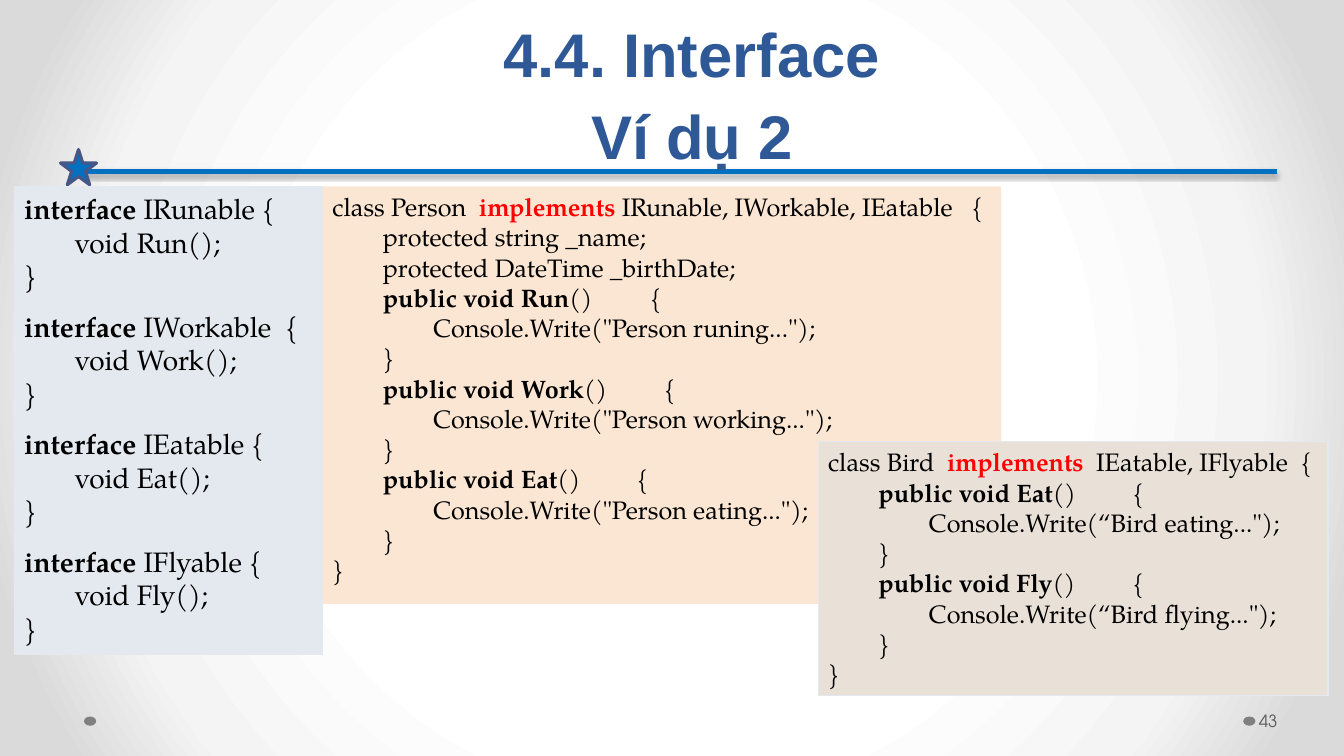
import lxml.etree
import pptx
import pptx.dml.color
import pptx.enum.shapes
import pptx.enum.text
import pptx.oxml
import pptx.oxml.ns
import pptx.util
from dataclasses import dataclass

SHAPES = pptx.enum.shapes.MSO_SHAPE
ANCHOR = pptx.enum.text.MSO_ANCHOR
ALIGN = pptx.enum.text.PP_ALIGN
AUTO_SIZE = pptx.enum.text.MSO_AUTO_SIZE
NAMESPACE = pptx.oxml.ns.nsdecls("a")


@dataclass(frozen=True)
class Theme:
    title_font: str = "Arial"
    code_font: str = "TeX Gyre Pagella"
    number_font: str = "TeX Gyre Adventor"
    title_size: int = 44
    interface_size: int = 20
    class_size: int = 18
    number_size: int = 12
    title: str = "2F5897"
    accent: str = "0070C0"
    star_edge: str = "475785"
    dot: str = "808080"
    number: str = "595959"
    code: str = "000000"
    keyword: str = "FF0000"
    interface_panel: str = "E4E9EF"
    person_panel: str = "FAE6D3"
    bird_panel: str = "E9E0D7"
    backdrop: tuple = ((50, "FFFFFF"), (76, "F4F4F4"), (92, "DADADA"))


def assign(target, values):
    for name, value in values.items():
        setattr(target, name, value)


def color(value):
    return pptx.dml.color.RGBColor.from_string(value)


class SlideBuilder:
    COLUMNS, ROWS = 160, 90

    def __init__(self, presentation, theme):
        self.theme = theme
        self.cell_width = presentation.slide_width / self.COLUMNS
        self.cell_height = presentation.slide_height / self.ROWS
        self.slide = presentation.slides.add_slide(presentation.slide_layouts[6])

    def place(self, column, row, width, height):
        return (round(column * self.cell_width), round(row * self.cell_height),
                round(width * self.cell_width), round(height * self.cell_height))

    def backdrop(self):
        fill = self.slide.background.fill
        fill.gradient()
        stops = "".join(f'<a:gs pos="{position * 1000}"><a:srgbClr val="{value}"/></a:gs>'
                        for position, value in self.theme.backdrop)
        gradient = pptx.oxml.parse_xml(
            f'<a:gradFill {NAMESPACE} rotWithShape="1"><a:gsLst>{stops}</a:gsLst>'
            '<a:path path="circle"><a:fillToRect l="50000" t="50000" r="50000" b="50000"/>'
            '</a:path></a:gradFill>')
        current = next(self.slide.element.iter(pptx.oxml.ns.qn("a:gradFill")))
        current.getparent().replace(current, gradient)

    def shape(self, kind, box, fill, edge=None, edge_width=0.75):
        shape = self.slide.shapes.add_shape(kind, *self.place(*box))
        shape.shadow.inherit = False
        shape.fill.solid()
        shape.fill.fore_color.rgb = color(fill)
        if edge:
            shape.line.color.rgb = color(edge)
            shape.line.width = pptx.util.Pt(edge_width)
        else:
            shape.line.fill.background()
        return shape

    def rule(self, start, end, row):
        left, top, width, _ = self.place(start, row, end - start, 0)
        line = self.slide.shapes.add_connector(
            pptx.enum.shapes.MSO_CONNECTOR.STRAIGHT, left, top, left + width, top)
        line.line.color.rgb = color(self.theme.accent)
        line.line.width = pptx.util.Pt(4)
        line.element.spPr.append(pptx.oxml.parse_xml(
            f'<a:effectLst {NAMESPACE}><a:outerShdw blurRad="39400" dist="22900" dir="5400000">'
            '<a:srgbClr val="000000"><a:alpha val="35000"/></a:srgbClr>'
            '</a:outerShdw></a:effectLst>'))

    def run(self, paragraph, text, font, size, ink, bold=False):
        run = paragraph.add_run()
        run.text = text
        assign(run.font, {"name": font, "size": pptx.util.Pt(size), "bold": bold})
        run.font.color.rgb = color(ink)

    def label(self, box, lines, style, frame_format, paragraph_format):
        frame = self.slide.shapes.add_textbox(*self.place(*box)).text_frame
        assign(frame, {"word_wrap": True, **frame_format})
        paragraph = frame.paragraphs[0]
        assign(paragraph, paragraph_format)
        for index, line in enumerate(lines):
            if index:
                paragraph.add_line_break()
            self.run(paragraph, line, **style)

    def tab_stops(self, paragraph, stops):
        properties = paragraph._p.get_or_add_pPr()
        tabs = lxml.etree.SubElement(properties, pptx.oxml.ns.qn("a:tabLst"))
        for stop in stops:
            lxml.etree.SubElement(tabs, pptx.oxml.ns.qn("a:tab"),
                                  pos=str(pptx.util.Inches(stop)), algn="l")

    def code_panel(self, box, lines, size, fill, edge=None, auto_size=AUTO_SIZE.NONE):
        frame = self.shape(SHAPES.RECTANGLE, box, fill, edge).text_frame
        assign(frame, {"word_wrap": True, "vertical_anchor": ANCHOR.TOP,
                       "auto_size": auto_size})
        inks = {"plain": (self.theme.code, False), "bold": (self.theme.code, True),
                "keyword": (self.theme.keyword, True)}
        for index, (runs, spacing, brace_stop) in enumerate(lines):
            paragraph = frame.add_paragraph() if index else frame.paragraphs[0]
            assign(paragraph, {"alignment": ALIGN.LEFT, "line_spacing": spacing})
            self.tab_stops(paragraph, [0.5, 1] + ([brace_stop] if brace_stop else []))
            for style, text in runs:
                ink, bold = inks[style]
                self.run(paragraph, text, self.theme.code_font, size, ink, bold)


def code_line(*runs, spacing=1.0, brace_stop=None):
    return runs, spacing, brace_stop


def interface_lines(interfaces):
    lines = []
    for heading, method in interfaces:
        lines += [code_line(("bold", "interface"), ("plain", f" {heading}"),
                            spacing=1.5 if lines else 1.0),
                  code_line(("plain", f"\tvoid {method}();")),
                  code_line(("plain", "}"))]
    return lines


def class_lines(name, interfaces, fields, methods, brace_stop=None):
    lines = [code_line(("plain", f"class {name}  "), ("keyword", "implements"),
                       ("plain", interfaces), brace_stop=brace_stop)]
    lines += [code_line(("plain", f"\t{field}")) for field in fields]
    for method, message, stop in methods:
        lines += [code_line(("bold", f"\tpublic void {method}"), ("plain", "()\t{"),
                            brace_stop=stop),
                  code_line(("plain", f"\t\tConsole.Write({message});")),
                  code_line(("plain", "\t}"))]
    return lines + [code_line(("plain", "}"))]


def main():
    presentation = pptx.Presentation()
    assign(presentation, {"slide_width": pptx.util.Inches(13.33),
                          "slide_height": pptx.util.Inches(7.5)})
    theme = Theme()
    builder = SlideBuilder(presentation, theme)
    builder.backdrop()
    for column in (148, 10):
        builder.shape(SHAPES.OVAL, (column, 85.3, 1.45, 1.1), theme.dot)
    builder.rule(10.1, 152, 20.4)
    builder.shape(SHAPES.STAR_5_POINT, (7.2, 17.8, 4.3, 4.2), theme.accent,
                  theme.star_edge, 2.25)
    builder.label((13, 2.3, 138.8, 18.7), ["4.4. Interface", "Ví dụ 2"],
                  {"font": theme.title_font, "size": theme.title_size,
                   "ink": theme.title, "bold": True},
                  {"vertical_anchor": ANCHOR.BOTTOM},
                  {"alignment": ALIGN.CENTER, "line_spacing": pptx.util.Pt(58)})
    builder.label((149.5, 83.4, 9.8, 4.8), ["43"],
                  {"font": theme.number_font, "size": theme.number_size, "ink": theme.number},
                  {"vertical_anchor": ANCHOR.MIDDLE, "margin_left": pptx.util.Inches(0.03),
                   "margin_right": pptx.util.Inches(0.05)},
                  {"alignment": ALIGN.LEFT})
    builder.code_panel(
        (1.7, 22.2, 36.7, 55.7),
        interface_lines([("IRunable {", "Run"), ("IWorkable  {", "Work"),
                         ("IEatable {", "Eat"), ("IFlyable {", "Fly")]),
        theme.interface_size, theme.interface_panel, theme.interface_panel,
        AUTO_SIZE.SHAPE_TO_FIT_TEXT)
    builder.code_panel(
        (38.4, 22.2, 80.8, 49.7),
        class_lines("Person", " IRunable, IWorkable, IEatable\t{",
                    ["protected string _name;", "protected DateTime _birthDate;"],
                    [("Run", '"Person runing..."', 3.15), ("Work", '"Person working..."', 3.29),
                     ("Eat", '"Person eating..."', 3.02)], 6.34),
        theme.class_size, theme.person_panel)
    builder.code_panel(
        (97.4, 52.6, 60.7, 30.2),
        class_lines("Bird", "  IEatable, IFlyable  {", [],
                    [("Eat", '“Bird eating..."', 3.02), ("Fly", '“Bird flying..."', 3.02)]),
        theme.class_size, theme.bird_panel, theme.interface_panel,
        AUTO_SIZE.SHAPE_TO_FIT_TEXT)
    presentation.save("out.pptx")


if __name__ == "__main__":
    main()
